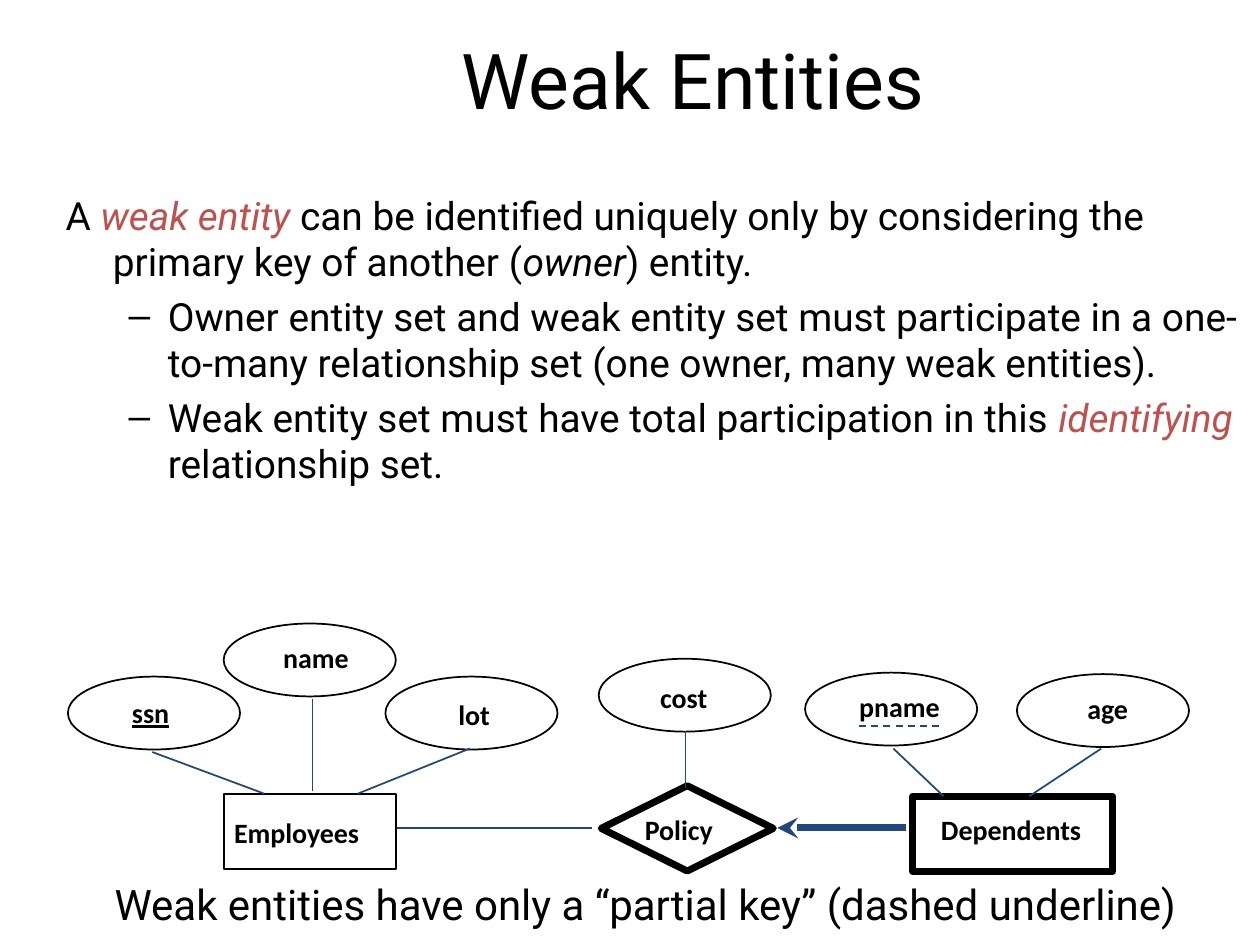
import pptx
import pptx.dml.color
import pptx.enum.dml
import pptx.enum.shapes
import pptx.enum.text
import pptx.oxml
import pptx.oxml.ns
import pptx.util

Cm = pptx.util.Cm
Pt = pptx.util.Pt
SHAPE = pptx.enum.shapes.MSO_SHAPE
BLACK = pptx.dml.color.RGBColor(0x00, 0x00, 0x00)
RED = pptx.dml.color.RGBColor(0xC0, 0x50, 0x4D)
NAVY = pptx.dml.color.RGBColor(0x1F, 0x49, 0x7D)
DRAWING_NS = pptx.oxml.ns.nsdecls("a")


def style_run(run, size, font, color=BLACK):
    run.font.size = Pt(size)
    run.font.name = font
    run.font.color.rgb = color


def add_unwrapped_text(text, left, top, width, height, size, font):
    box = slide.shapes.add_textbox(Cm(left), Cm(top), Cm(width), Cm(height))
    box.text_frame.word_wrap = False
    box.text_frame.text = text
    run = box.text_frame.paragraphs[0].runs[0]
    style_run(run, size, font)
    return run


presentation = pptx.Presentation()
presentation.slide_width = Cm(25.4)
presentation.slide_height = Cm(19.05)
slide = presentation.slides.add_slide(presentation.slide_layouts[1])

# Title
title = slide.shapes.title
title.left, title.top, title.width, title.height = Cm(3.18), Cm(0), Cm(21.59), Cm(3.18)
title.text_frame.text = "Weak Entities"
style_run(title.text_frame.paragraphs[0].runs[0], 44, "Roboto")

# Definition: each paragraph is (level, [(text, color, italic)])
definition = [
    (0, [("A ", BLACK, False),
         ("weak entity ", RED, True),
         ("can be identified uniquely only by considering the primary key of another (", BLACK, False),
         ("owner", BLACK, True),
         (") entity.", BLACK, False)]),
    (1, [("Owner entity set and weak entity set must participate in a one-to-many "
          "relationship set (one owner, many weak entities).", BLACK, False)]),
    (1, [("Weak entity set must have total participation in this ", BLACK, False),
         ("identifying ", RED, True),
         ("relationship set.", BLACK, False)]),
]
indents = [(0.95, -0.95), (2.06, -0.79)]
bullets = [f"<a:buNone {DRAWING_NS}/>", f'<a:buChar {DRAWING_NS} char="–"/>']

body = slide.placeholders[1]
body.left, body.top, body.width, body.height = Cm(1.07), Cm(3.73), Cm(24.33), Cm(6.35)
body.text_frame.auto_size = pptx.enum.text.MSO_AUTO_SIZE.NONE
for index, (level, pieces) in enumerate(definition):
    paragraph = body.text_frame.paragraphs[0] if index == 0 else body.text_frame.add_paragraph()
    paragraph.level = level
    paragraph.space_before = Pt(4.4)
    margin, first_line = indents[level]
    properties = paragraph._p.get_or_add_pPr()
    properties.set("marL", str(Cm(margin)))
    properties.set("indent", str(Cm(first_line)))
    properties.append(pptx.oxml.parse_xml(bullets[level]))
    for text, color, italic in pieces:
        run = paragraph.add_run()
        run.text = text
        style_run(run, 22.2, "Roboto", color)
        run.font.italic = italic

# Entity-relationship diagram:
# name, outline, (left, top, width, height), line weight, label (left, top, width)
attribute_size = (3.47, 1.47)
nodes = [
    ("ssn", SHAPE.OVAL, (1.37, 13.64, *attribute_size), 1, (2.41, 13.89, 1.47)),
    ("name", SHAPE.OVAL, (4.51, 12.57, *attribute_size), 1, (5.46, 12.78, 1.98)),
    ("lot", SHAPE.OVAL, (7.77, 13.64, *attribute_size), 1, (8.99, 13.94, 1.19)),
    ("cost", SHAPE.OVAL, (12.07, 13.28, *attribute_size), 1, (13.06, 13.59, 1.65)),
    ("pname", SHAPE.OVAL, (16.23, 13.56, *attribute_size), 1, (17.07, 13.77, 2.31)),
    ("age", SHAPE.OVAL, (20.5, 13.59, *attribute_size), 1, (21.67, 13.82, 1.47)),
    ("Employees", SHAPE.RECTANGLE, (4.51, 16, 3.47, 1.52), 1, (4.47, 16.31, 3.48)),
    ("Policy", SHAPE.DIAMOND, (12.12, 15.84, 3.47, 1.72), 4, (12.75, 16.26, 2.16)),
    ("Dependents", SHAPE.RECTANGLE, (18.4, 16.05, 4.03, 1.52), 4, (18.72, 16.26, 3.73)),
]
for name, outline, bounds, weight, label_place in nodes:
    node = slide.shapes.add_shape(outline, *(Cm(length) for length in bounds))
    node.shadow.inherit = False
    node.fill.background()
    node.line.color.rgb = BLACK
    node.line.width = Pt(weight)
    label = add_unwrapped_text(name, *label_place, 0.91, 16, "Calibri")
    label.font.bold = True
    label.font.underline = True if name == "ssn" else None

# Links: (begin x, begin y, end x, end y), line weight
links = {
    "ssn": ((3.07, 15.16, 5.33, 16), 1),
    "name": ((6.3, 14.1, 6.3, 15.95), 1),
    "lot": ((9.47, 15.09, 7.21, 16), 1),
    "cost": ((13.82, 14.73, 13.82, 15.88), 1),
    "pname": ((18.01, 15.09, 19.02, 16.05), 1),
    "age": ((22.2, 15.09, 20.75, 16.05), 1),
    "partial key": ((17.32, 14.63, 19.02, 14.63), 1),
    "owner": ((8, 16.69, 11.94, 16.69), 1),
    "identifying": ((18.26, 16.69, 15.67, 16.69), 4),
}
for role, (ends, weight) in links.items():
    link = slide.shapes.add_connector(
        pptx.enum.shapes.MSO_CONNECTOR.STRAIGHT, *(Cm(length) for length in ends))
    link.line.color.rgb = NAVY
    link.line.width = Pt(weight)
    if role == "partial key":
        link.line.dash_style = pptx.enum.dml.MSO_LINE.DASH
    if role == "identifying":
        link.line._get_or_add_ln().append(
            pptx.oxml.parse_xml(f'<a:tailEnd {DRAWING_NS} type="stealth"/>'))
    link._element.spPr.append(pptx.oxml.parse_xml(f"<a:effectLst {DRAWING_NS}/>"))

# Caption
add_unwrapped_text("Weak entities have only a “partial key” (dashed underline)",
                   2.06, 17.58, 22.28, 1.27, 24, "Roboto")

presentation.save("out.pptx")
